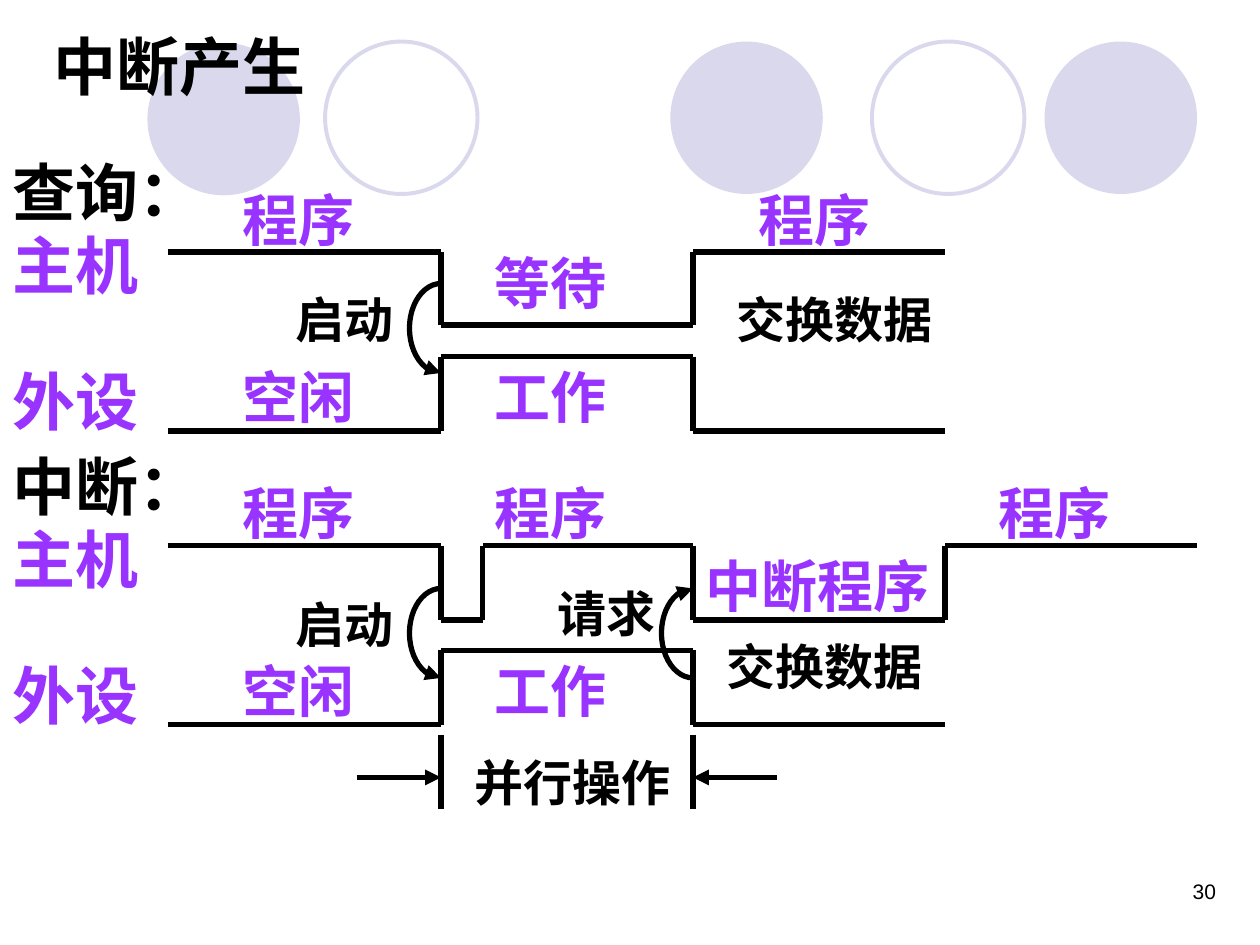
from itertools import pairwise
from typing import NamedTuple

from pptx import Presentation
from pptx.dml.color import RGBColor
from pptx.enum.shapes import MSO_CONNECTOR as Conn, MSO_SHAPE as Shp
from pptx.enum.text import MSO_AUTO_SIZE as Auto, PP_ALIGN as Align
from pptx.oxml.ns import qn
from pptx.util import Inches, Pt
from lxml.etree import SubElement

BLACK, PURPLE, LILAC = "000000", "9933FF", "D9D8EC"
SANS, SERIF = "Noto Sans CJK SC", "Times New Roman"
PANEL_STEP = 2.33
HEIGHTS = {36: 0.7, 32: 0.64, 28: 0.57, 12: 0.5}


class Label(NamedTuple):
    text: str
    x: float
    y: float
    w: float
    size: int = 32
    color: str = PURPLE
    font: str = SERIF


class Circle(NamedTuple):
    x: float
    y: float
    filled: bool


class Arc(NamedTuple):
    x: float
    y: float
    end: str


CIRCLES = [
    Circle(5.32, 0.33, True),
    Circle(8.29, 0.33, True),
    Circle(1.17, 0.34, True),
    Circle(6.92, 0.33, False),
    Circle(2.58, 0.33, False),
]

PANEL_LABELS = [
    Label("主机", 0, 1.75, 1.5, 36, PURPLE, SANS),
    Label("外设", 0, 2.83, 1.5, 36, PURPLE, SANS),
    Label("程序", 1.83, 1.42, 1.25),
    Label("空闲", 1.83, 2.83, 1.25),
    Label("工作", 3.83, 2.83, 1.25),
]

LABELS = [
    Label("中断产生", 0.33, 0.17, 4.67, 36, BLACK, SANS),
    Label("查询：", 0, 1.17, 2.58, 36, BLACK, SANS),
    Label("等待", 3.83, 1.92, 1.25),
    Label("程序", 5.92, 1.42, 1.83),
    Label("启动", 2.25, 2.25, 1.08, 28, BLACK),
    Label("交换数据", 5.75, 2.25, 2, 28, BLACK),
    Label("中断：", 0, 3.5, 2.58, 36, BLACK, SANS),
    Label("程序", 3.83, 3.75, 1.83),
    Label("程序", 7.83, 3.75, 1.83),
    Label("中断程序", 5.5, 4.33, 2.25),
    Label("启动", 2.25, 4.67, 1.08, 28, BLACK),
    Label("请求", 4.33, 4.58, 1.08, 28, BLACK),
    Label("交换数据", 5.67, 5, 2, 28, BLACK),
    Label("并行操作", 3.67, 5.92, 2.25, 28, BLACK),
]

DEVICE = [(1.33, 3.42), (3.5, 3.42), (3.5, 2.83), (5.5, 2.83), (5.5, 3.42), (7.5, 3.42)]
POLLING_HOST = [(1.33, 2), (3.5, 2), (3.5, 2.58), (5.5, 2.58), (5.5, 2), (7.5, 2)]
INTERRUPT_HOST = [
    (1.33, 4.33), (3.5, 4.33), (3.5, 4.92), (3.83, 4.92), (3.83, 4.33),
    (5.5, 4.33), (5.5, 4.92), (7.5, 4.92), (7.5, 4.33), (9.5, 4.33),
]
ARCS = [Arc(3.25, 2.25, "headEnd"), Arc(3.25, 4.67, "headEnd"), Arc(5.25, 4.67, "tailEnd")]


def rgb(color: str) -> RGBColor:
    return RGBColor.from_string(color)


def add_arrowhead(sp, end: str) -> None:
    SubElement(sp.line._get_or_add_ln(), qn(f"a:{end}"), type="triangle")


def set_line(sp, color: str, width: float) -> None:
    sp.line.color.rgb = rgb(color)
    sp.line.width = Pt(width)


def add_circle(s, circle: Circle) -> None:
    sp = s.shapes.add_shape(
        Shp.OVAL, Inches(circle.x), Inches(circle.y), Inches(1.21), Inches(1.21)
    )
    sp.shadow.inherit = False
    if circle.filled:
        sp.fill.solid()
        sp.fill.fore_color.rgb = rgb(LILAC)
        sp.line.fill.background()
    else:
        sp.fill.background()
        set_line(sp, LILAC, 2.25)


def add_label(s, label: Label, bold: bool = True, align: Align = Align.LEFT) -> None:
    sp = s.shapes.add_textbox(
        Inches(label.x), Inches(label.y), Inches(label.w), Inches(HEIGHTS[label.size])
    )
    tf = sp.text_frame
    tf.text = label.text
    tf.word_wrap = True
    tf.auto_size = Auto.SHAPE_TO_FIT_TEXT if bold else Auto.NONE
    p = tf.paragraphs[0]
    p.alignment = align
    r = p.runs[0]
    r.font.name = label.font
    r.font.size = Pt(label.size)
    r.font.bold = bold
    r.font.color.rgb = rgb(label.color)
    SubElement(r.font._element, qn("a:ea"), typeface=SANS)


def add_line(s, start: tuple[float, float], stop: tuple[float, float], end: str = "") -> None:
    sp = s.shapes.add_connector(Conn.STRAIGHT, *map(Inches, start + stop))
    set_line(sp, BLACK, 3)
    SubElement(sp._element.spPr, qn("a:effectLst"))
    if end:
        add_arrowhead(sp, end)


def add_trace(s, points: list[tuple[float, float]], dy: float = 0) -> None:
    for (x1, y1), (x2, y2) in pairwise(points):
        add_line(s, (x1, y1 + dy), (x2, y2 + dy))


def add_arc(s, arc: Arc) -> None:
    sp = s.shapes.add_shape(Shp.ARC, Inches(arc.x), Inches(arc.y), Inches(0.5), Inches(0.71))
    sp.adjustments[0] = 54
    sp.adjustments[1] = 162
    sp.shadow.inherit = False
    sp.fill.background()
    set_line(sp, BLACK, 3)
    add_arrowhead(sp, arc.end)


def main() -> None:
    prs = Presentation()
    prs.slide_width, prs.slide_height = Inches(10), Inches(7.5)
    s = prs.slides.add_slide(prs.slide_layouts[6])

    for circle in CIRCLES:
        add_circle(s, circle)
    add_label(s, Label("30", 7.42, 6.92, 2.33, 12, BLACK, "Arial"), False, Align.RIGHT)

    for dy in (0, PANEL_STEP):
        add_trace(s, DEVICE, dy)
        for label in PANEL_LABELS:
            add_label(s, label._replace(y=label.y + dy))
    for trace in (POLLING_HOST, INTERRUPT_HOST):
        add_trace(s, trace)
    for arc in ARCS:
        add_arc(s, arc)
    for label in LABELS:
        add_label(s, label)

    for x in (3.5, 5.5):
        add_line(s, (x, 5.83), (x, 6.42))
    add_line(s, (2.83, 6.17), (3.5, 6.17), "tailEnd")
    add_line(s, (5.5, 6.17), (6.17, 6.17), "headEnd")

    prs.save("out.pptx")


if __name__ == "__main__":
    main()
